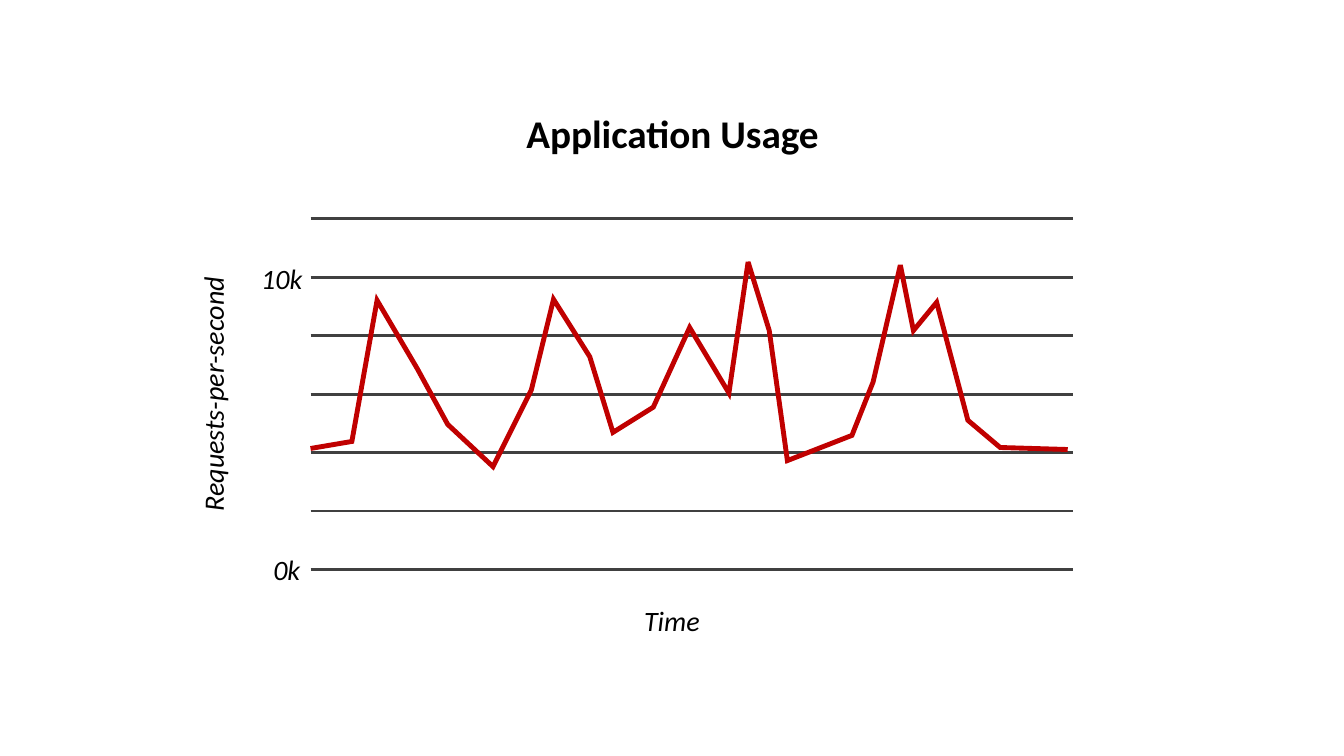
from lxml.etree import SubElement
from pptx import Presentation
from pptx.dml.color import RGBColor
from pptx.enum.shapes import MSO_CONNECTOR as Link
from pptx.enum.text import MSO_ANCHOR as Anchor, MSO_AUTO_SIZE as Fit, PP_ALIGN as Align
from pptx.oxml.ns import qn
from pptx.util import Inches, Pt


def paint(text):
    return RGBColor.from_string(text)


class Board:
    font = "Calibri"
    ink, grid, red = "000000", "404040", "C00000"

    def __init__(self, deck):
        self.slide = deck.slides.add_slide(deck.slide_layouts[5])
        self.shapes = self.slide.shapes

    def letter(self, shape, text, size, bold=False, italic=False):
        frame = shape.text_frame
        frame.text = text
        frame.word_wrap = False
        frame.auto_size = Fit.NONE
        frame.vertical_anchor = Anchor.MIDDLE
        para = frame.paragraphs[0]
        para.alignment = Align.CENTER
        font = para.font
        font.name, font.size = self.font, Pt(size)
        font.bold, font.italic = bold, italic
        font.color.rgb = paint(self.ink)

    def title(self, text, left, top, width, height):
        shape = self.shapes.title
        shape.left, shape.top = Inches(left), Inches(top)
        shape.width, shape.height = Inches(width), Inches(height)
        self.letter(shape, text, 28, bold=True)

    def label(self, text, left, top, width, height=0.44, turn=0):
        box = self.shapes.add_textbox(
            Inches(left), Inches(top), Inches(width), Inches(height))
        box.rotation = turn
        self.letter(box, text, 20, italic=True)

    def rules(self, left, right, levels):
        group = self.shapes.add_group_shape()
        for y in levels:
            rule = group.shapes.add_connector(
                Link.STRAIGHT, Inches(left), Inches(y), Inches(right), Inches(y))
            rule.line.color.rgb = paint(self.grid)
            rule.line.width = Pt(2)
            SubElement(rule._element.spPr, qn("a:effectLst"))

    def curve(self, points):
        spots = [(Inches(x), Inches(y)) for x, y in points]
        pen = self.shapes.build_freeform(*spots[0])
        pen.add_line_segments(spots[1:], close=False)
        shape = pen.convert_to_shape()
        shape.shadow.inherit = False
        shape.fill.background()
        shape.line.color.rgb = paint(self.red)
        shape.line.width = Pt(3.5)
        # Sharp corners at the peaks
        stroke = shape._element.spPr.find(qn("a:ln"))
        SubElement(stroke, qn("a:miter"), lim="800000")


def main():
    deck = Presentation()
    deck.slide_width, deck.slide_height = Inches(13.33), Inches(7.5)
    board = Board(deck)

    # Grid, from the base line up
    base, step = 5.65, 0.58
    board.rules(3.08, 10.64, [base - step * i for i in range(7)])

    # Usage over time
    board.curve([
        (3.08, 4.45), (3.49, 4.38), (3.74, 2.98), (4.14, 3.66),
        (4.44, 4.21), (4.89, 4.63), (5.27, 3.87), (5.49, 2.97),
        (5.85, 3.54), (6.08, 4.29), (6.48, 4.04), (6.84, 3.25),
        (7.23, 3.9), (7.42, 2.6), (7.63, 3.28), (7.81, 4.57),
        (8.45, 4.32), (8.66, 3.79), (8.93, 2.63), (9.06, 3.28),
        (9.29, 3), (9.6, 4.17), (9.92, 4.44), (10.59, 4.46)])

    # Title and axis labels
    board.title("Application Usage", 5.1, 1.03, 3.14, 0.57)
    board.label("Requests-per-second", 0.81, 3.69, 2.6, turn=270)
    board.label("Time", 6.28, 5.93, 0.77)
    board.label("0k", 2.61, 5.43, 0.47)
    board.label("10k", 2.49, 2.54, 0.61)

    deck.save("out.pptx")


if __name__ == "__main__":
    main()
